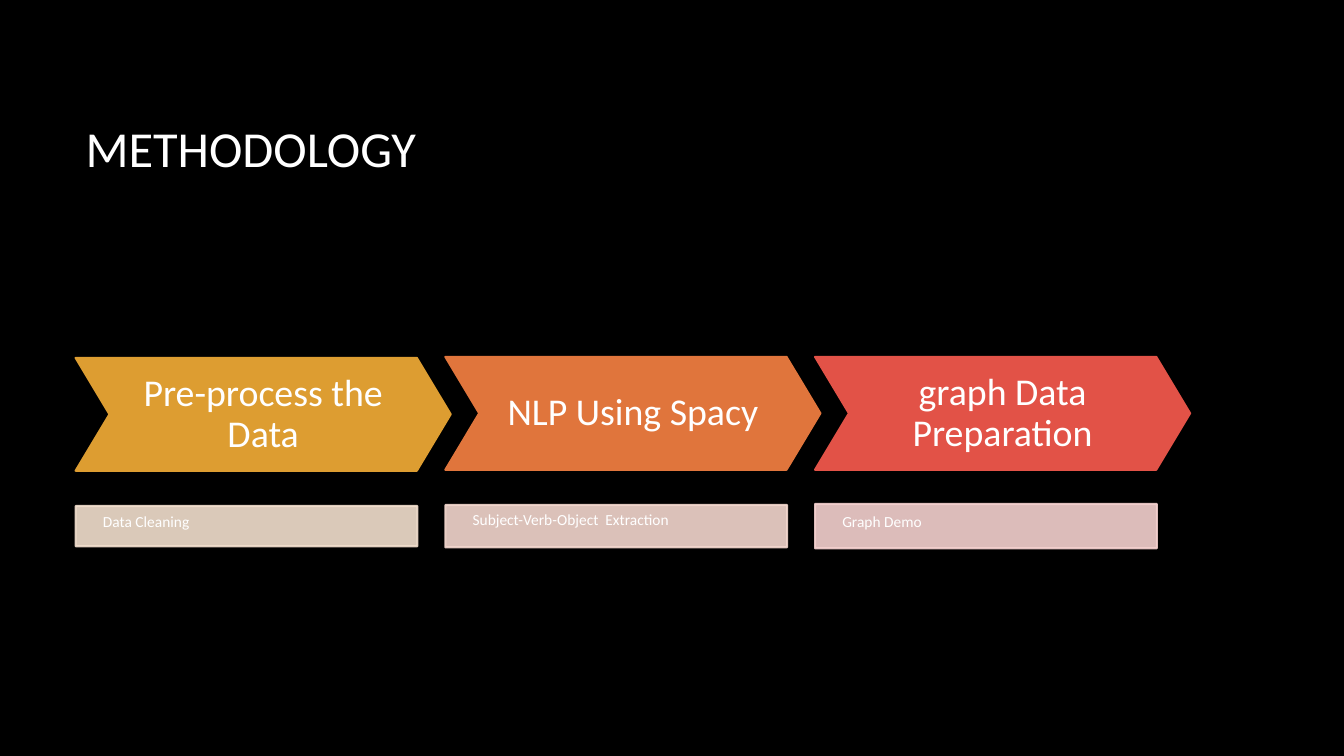
from dataclasses import dataclass

from lxml.etree import SubElement
from pptx import Presentation
from pptx.dml.color import RGBColor
from pptx.enum.shapes import MSO_SHAPE
from pptx.enum.text import MSO_ANCHOR, PP_ALIGN
from pptx.oxml.ns import qn
from pptx.shapes.autoshape import Shape
from pptx.slide import Slide
from pptx.util import Inches, Pt

FONT = "Calibri"
WHITE = "FFFFFF"
FIRST_LEFT = 0.75
STEP_PITCH = 3.667
DETAIL_MIDDLE = 5.21


@dataclass
class Step:
    heading: str
    detail: str
    color: str
    tint: str
    chevron_top: float
    detail_height: float
    detail_spacing: float = 1.0


STEPS = [
    Step("Pre-process the Data", "Data Cleaning", "DD9D31", "F2DFCE", 3.55, 0.4),
    Step("NLP Using Spacy", "Subject-Verb-Object  Extraction", "E0753C", "F3D7CE",
         3.54, 0.42, 0.9),
    Step("graph Data Preparation", "Graph Demo", "E25247", "F4D1CF", 3.54, 0.44),
]


def rgb(color: str) -> RGBColor:
    return RGBColor.from_string(color)


def write_text(shape: Shape, text: str, size: float, anchor: MSO_ANCHOR,
               alignment: PP_ALIGN = PP_ALIGN.LEFT, spacing: float = 1.0) -> None:
    frame = shape.text_frame
    frame.word_wrap = True
    frame.vertical_anchor = anchor
    paragraph = frame.paragraphs[0]
    paragraph.text = text
    paragraph.alignment = alignment
    paragraph.line_spacing = spacing
    paragraph.font.name = FONT
    paragraph.font.size = Pt(size)
    paragraph.font.color.rgb = rgb(WHITE)


def set_insets(shape: Shape, side: float, bottom: float) -> None:
    frame = shape.text_frame
    frame.margin_left = frame.margin_right = frame.margin_top = Inches(side)
    frame.margin_bottom = Inches(bottom)


def add_block(slide: Slide, kind: MSO_SHAPE, left: float, top: float,
              width: float, height: float, color: str) -> Shape:
    shape = slide.shapes.add_shape(
        kind, Inches(left), Inches(top), Inches(width), Inches(height))
    shape.shadow.inherit = False
    shape.fill.solid()
    shape.fill.fore_color.rgb = rgb(color)
    shape.line.color.rgb = rgb(color)
    shape.line.width = Pt(1.5)
    return shape


def set_opacity(shape: Shape, percent: int) -> None:
    """Apply one opacity to both the fill and the outline."""
    for color in shape._element.spPr.iter(qn("a:srgbClr")):
        SubElement(color, qn("a:alpha")).set("val", str(percent * 1000))


def add_step(slide: Slide, step: Step, left: float) -> None:
    # Chevron with the step heading
    chevron = add_block(slide, MSO_SHAPE.CHEVRON, left, step.chevron_top,
                        3.72, 1.12, step.color)
    chevron.adjustments[0] = 0.3
    set_insets(chevron, 0.14, 0.14)
    write_text(chevron, step.heading, 27, MSO_ANCHOR.MIDDLE, PP_ALIGN.CENTER, 0.9)

    # Translucent bar with the detail
    bar = add_block(slide, MSO_SHAPE.RECTANGLE, left,
                    DETAIL_MIDDLE - step.detail_height / 2 + 0.01,
                    3.39, step.detail_height, step.tint)
    set_opacity(bar, 90)
    set_insets(bar, 0.27, 0.54)
    write_text(bar, step.detail, 11, MSO_ANCHOR.TOP, spacing=step.detail_spacing)


def main() -> None:
    presentation = Presentation()
    presentation.slide_width = Inches(13.33)
    presentation.slide_height = Inches(7.5)
    slide = presentation.slides.add_slide(presentation.slide_layouts[6])
    slide.background.fill.solid()
    slide.background.fill.fore_color.rgb = rgb("000000")

    # Title
    title = slide.shapes.add_textbox(
        Inches(0.75), Inches(0.67), Inches(11.08), Inches(1.59))
    write_text(title, "METHODOLOGY", 36, MSO_ANCHOR.MIDDLE)

    # Process steps
    for index, step in enumerate(STEPS):
        add_step(slide, step, FIRST_LEFT + index * STEP_PITCH)

    presentation.save("out.pptx")


if __name__ == "__main__":
    main()
